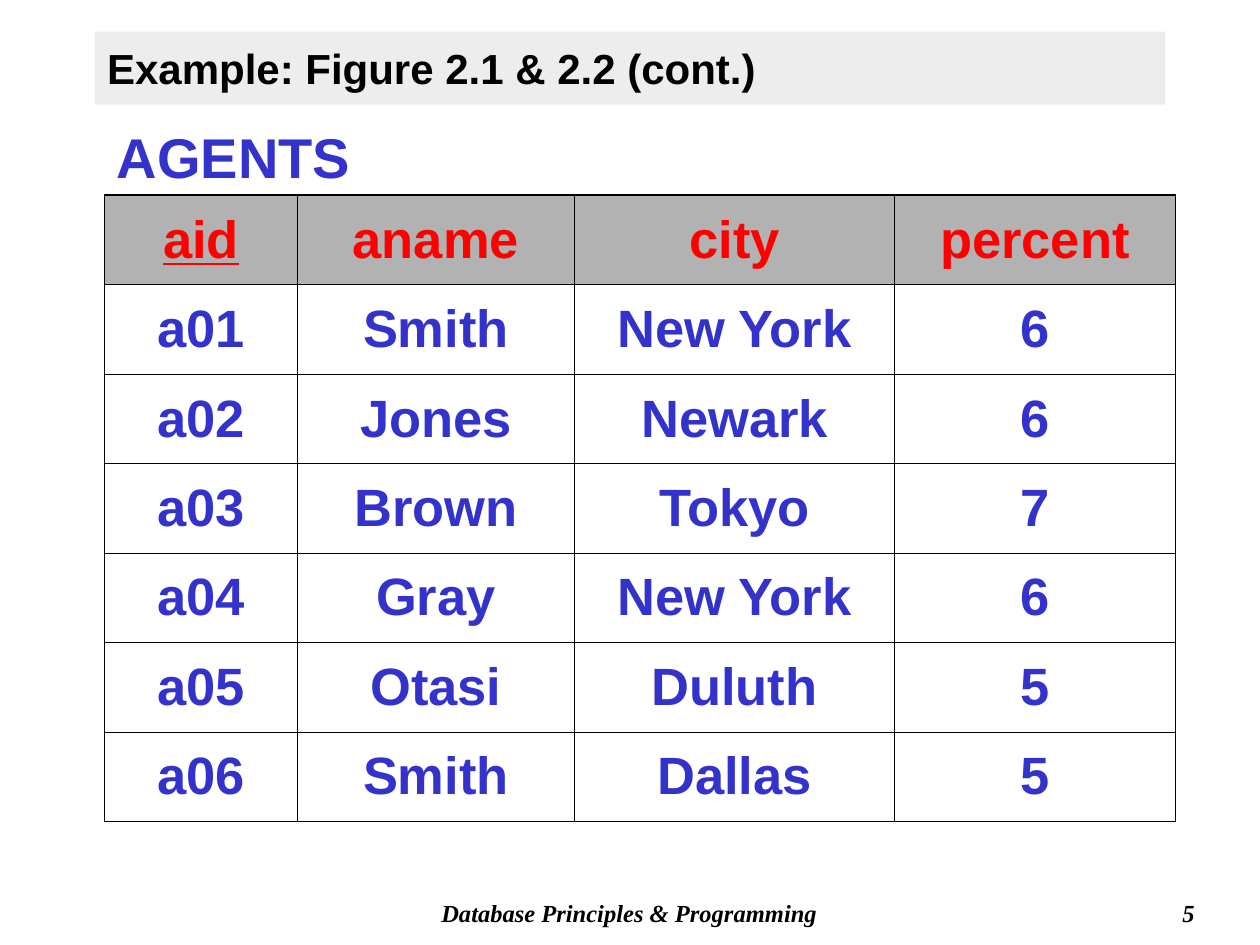
from dataclasses import dataclass

from lxml import etree
from pptx import Presentation
from pptx import util as u
from pptx.dml.color import RGBColor
from pptx.enum import text
from pptx.oxml import ns

BLACK, BLUE, RED = "000000", "3333CC", "FF0000"
HEADER_GRAY, TITLE_GRAY = "B2B2B2", "DDDDDD"
OUTER_WIDTH, INNER_WIDTH = 1.08, 0.45

COLUMN_WIDTHS = (1.53, 2.2, 2.54, 2.23)
ROW_HEIGHT = 0.71
AGENTS = (
    ("aid", "aname", "city", "percent"),
    ("a01", "Smith", "New York", "6"),
    ("a02", "Jones", "Newark", "6"),
    ("a03", "Brown", "Tokyo", "7"),
    ("a04", "Gray", "New York", "6"),
    ("a05", "Otasi", "Duluth", "5"),
    ("a06", "Smith", "Dallas", "5"),
)


@dataclass
class Style:
    size: float
    color: str = BLACK
    font: str = "Arial"
    italic: bool = False
    align: text.PP_ALIGN = text.PP_ALIGN.LEFT


@dataclass
class Label:
    words: str
    at: tuple[float, float, float, float]
    style: Style


def rgb(color: str) -> RGBColor:
    return RGBColor.from_string(color)


def write(frame, words: str, style: Style) -> None:
    """Fill a text frame with one bold, styled paragraph."""
    frame.text = words
    para = frame.paragraphs[0]
    para.alignment = style.align
    for span in para.runs:
        span.font.name = style.font
        span.font.size = u.Pt(style.size)
        span.font.bold = True
        span.font.italic = style.italic
        span.font.color.rgb = rgb(style.color)


def place(shape, at: tuple[float, float, float, float]) -> None:
    shape.left, shape.top, shape.width, shape.height = map(u.Inches, at)


def add_label(page, label: Label) -> None:
    box = page.shapes.add_textbox(*map(u.Inches, label.at))
    box.text_frame.word_wrap = True
    write(box.text_frame, label.words, label.style)


def set_title(page, words: str) -> None:
    title = page.shapes.title
    place(title, (0.75, 0.25, 8.5, 0.58))
    title.fill.solid()
    title.fill.fore_color.rgb = rgb(TITLE_GRAY)
    color = title.fill._xPr.find(".//" + ns.qn("a:srgbClr"))
    etree.SubElement(color, ns.qn("a:alpha"), val="50000")
    title.text_frame.auto_size = text.MSO_AUTO_SIZE.NONE
    title.text_frame.vertical_anchor = text.MSO_ANCHOR.MIDDLE
    write(title.text_frame, words, Style(24))


def set_borders(cell, outer_sides: dict[str, bool]) -> None:
    """Draw the four sides, thicker where a side lies on the table's edge."""
    properties = cell._tc.get_or_add_tcPr()
    for side, is_outer in outer_sides.items():
        width = u.Pt(OUTER_WIDTH if is_outer else INNER_WIDTH)
        line = etree.SubElement(properties, ns.qn(f"a:ln{side}"), w=str(width))
        fill = etree.SubElement(line, ns.qn("a:solidFill"))
        etree.SubElement(fill, ns.qn("a:srgbClr"), val=BLACK)


def add_agents_table(page) -> None:
    last_row, last_column = len(AGENTS) - 1, len(COLUMN_WIDTHS) - 1
    frame = page.shapes.add_table(
        len(AGENTS), len(COLUMN_WIDTHS), u.Inches(0.83), u.Inches(1.55),
        u.Inches(sum(COLUMN_WIDTHS)), u.Inches(ROW_HEIGHT * len(AGENTS)))
    table = frame.table
    table.first_row = table.horz_banding = False
    for column, width in zip(table.columns, COLUMN_WIDTHS):
        column.width = u.Inches(width)
    for r, record in enumerate(AGENTS):
        table.rows[r].height = u.Inches(ROW_HEIGHT)
        for c, words in enumerate(record):
            cell = table.cell(r, c)
            cell.vertical_anchor = text.MSO_ANCHOR.MIDDLE
            set_borders(cell, {"L": c == 0, "R": c == last_column,
                               "T": r == 0, "B": r == last_row})
            if r == 0:
                cell.fill.solid()
                cell.fill.fore_color.rgb = rgb(HEADER_GRAY)
            else:
                cell.fill.background()
            color = RED if r == 0 else BLUE
            write(cell.text_frame, words,
                  Style(30, color, align=text.PP_ALIGN.CENTER))
    key_name = table.cell(0, 0).text_frame.paragraphs[0].runs[0]
    key_name.font.underline = True


def footer_style(align: text.PP_ALIGN) -> Style:
    return Style(14, font="Times New Roman", italic=True, align=align)


LABELS = (
    Label("Database Principles & Programming", (2.83, 7.08, 4.33, 0.33),
          footer_style(text.PP_ALIGN.CENTER)),
    Label("5", (7.5, 7.08, 2.08, 0.33), footer_style(text.PP_ALIGN.RIGHT)),
    Label("AGENTS", (0.83, 0.92, 2.62, 0.64), Style(32, BLUE)),
)


def main() -> None:
    deck = Presentation()
    deck.slide_width, deck.slide_height = u.Inches(10), u.Inches(7.5)
    page = deck.slides.add_slide(deck.slide_layouts.get_by_name("Title Only"))
    set_title(page, "Example: Figure 2.1 & 2.2 (cont.)")
    add_agents_table(page)
    for label in LABELS:
        add_label(page, label)
    deck.save("out.pptx")


if __name__ == "__main__":
    main()
